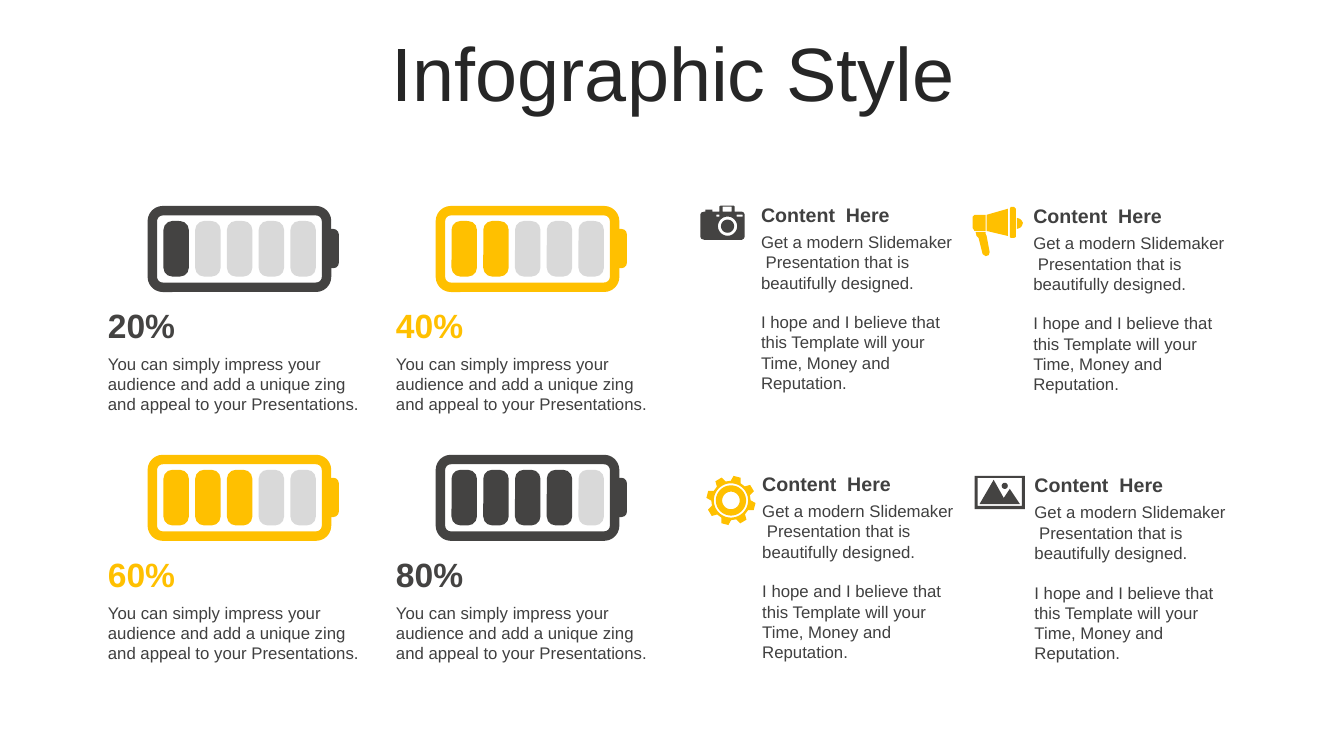
from math import cos, radians, sin

from pptx import Presentation
from pptx.dml.color import RGBColor
from pptx.enum.shapes import MSO_SHAPE
from pptx.enum.text import MSO_ANCHOR, MSO_AUTO_SIZE, PP_ALIGN
from pptx.util import Cm, Pt

ROUNDED = MSO_SHAPE.ROUNDED_RECTANGLE
TOP, MIDDLE = MSO_ANCHOR.TOP, MSO_ANCHOR.MIDDLE
CENTER = PP_ALIGN.CENTER
FIT_SHAPE, NO_FIT = MSO_AUTO_SIZE.SHAPE_TO_FIT_TEXT, MSO_AUTO_SIZE.NONE

CHARCOAL = RGBColor(0x44, 0x43, 0x42)
AMBER = RGBColor(0xFF, 0xC0, 0x00)
SILVER = RGBColor(0xD9, 0xD9, 0xD9)
BODY_GRAY = RGBColor(0x40, 0x40, 0x40)
TITLE_GRAY = RGBColor(0x26, 0x26, 0x26)
FONT = "Arial"
ICON_UNIT = 0.0254

TITLE = "Infographic Style"
BATTERIES = [("20%", 1, CHARCOAL), ("40%", 2, AMBER), ("60%", 3, AMBER), ("80%", 4, CHARCOAL)]
CELL_COUNT = 5
BATTERY_TEXT = "You can simply impress your audience and add a unique zing and appeal to your Presentations."
HEADING = "Content  Here"
CONTENT = [
    "Get a modern Slidemaker  Presentation that is beautifully designed.",
    "I hope and I believe that this Template will your Time, Money and Reputation.",
]


def circle(center_x, center_y, radius, steps=48):
    angles = [radians(360 * step / steps) for step in range(steps)]
    return [(center_x + radius * cos(a), center_y + radius * sin(a)) for a in angles]


def rectangle(left, top, right, bottom):
    return [(left, top), (right, top), (right, bottom), (left, bottom)]


def gear_teeth(center, base, tip, teeth=8, turn=14.5):
    corners = [(-15, base), (-8.5, tip), (8.5, tip), (15, base)]
    return [
        (center + radius * cos(radians(360 * tooth / teeth + turn + offset)),
         center + radius * sin(radians(360 * tooth / teeth + turn + offset)))
        for tooth in range(teeth) for offset, radius in corners
    ]


CAMERA = [
    [(20, 0), (33, 0), (34, 1), (34, 6), (41, 6), (43, 7), (44, 9), (44, 31), (43, 33), (41, 34),
     (4, 34), (1, 33), (0, 31), (0, 9), (1, 7), (4, 6), (5, 6), (5, 4), (12, 4), (12, 6),
     (19, 6), (19, 1)],
    circle(27, 20.5, 9.5), circle(27, 20.5, 6.5),
    rectangle(16, 9, 19, 11), rectangle(36, 9, 42, 11), rectangle(22, 1, 31, 6),
]
MEGAPHONE = [
    [(13, 25), (13, 27), (14, 29), (17, 45), (16, 48), (13, 49), (10, 47), (6, 31), (4, 29), (3, 25)],
    [(44, 11), (47, 12), (49, 14), (50, 16), (49, 19), (47, 21), (44, 22)],
    [(2, 8), (13, 8), (13, 24), (2, 24), (0, 21), (0, 10)],
    [(35, 2), (35, 29), (14, 24), (14, 8)],
    [(38, 0), (41, 0), (43, 2), (43, 30), (41, 31), (38, 31), (37, 30), (37, 2)],
]
GEAR = [gear_teeth(24.5, 19.5, 24.5), circle(24.5, 24.5, 17),
        circle(24.5, 24.5, 15), circle(24.5, 24.5, 8.7)]
LANDSCAPE = [
    rectangle(0, 0, 50, 33), rectangle(3, 2, 47, 30),
    [(19, 4), (29, 22), (35, 13), (45, 28), (5, 28)], circle(30, 10, 3),
]
ICONS = [
    (CAMERA, 17.65, 5.18, CHARCOAL),
    (MEGAPHONE, 24.51, 5.21, AMBER),
    (GEAR, 17.8, 11.99, AMBER),
    (LANDSCAPE, 24.56, 11.99, CHARCOAL),
]


def write(frame, paragraphs, size=12, color=BODY_GRAY, bold=False, align=None,
          anchor=TOP, gap=0, spacing=None, fit=FIT_SHAPE):
    frame.word_wrap = True
    frame.auto_size = fit
    frame.vertical_anchor = anchor
    for index, text in enumerate(paragraphs):
        para = frame.add_paragraph() if index else frame.paragraphs[0]
        para.alignment = align
        para.line_spacing = spacing
        para.space_before = Pt(gap if index else 0)
        span = para.add_run()
        span.text = text
        span.font.name = FONT
        span.font.size = Pt(size)
        span.font.bold = bold
        span.font.color.rgb = color


def add_text(page, left, top, width, height, paragraphs, **style):
    box = page.shapes.add_textbox(Cm(left), Cm(top), Cm(width), Cm(height))
    box.text_frame.margin_left = 0
    write(box.text_frame, paragraphs, **style)


def add_rounded(group, left, top, width, height, radius, fill=None, outline=None):
    shape = group.shapes.add_shape(ROUNDED, Cm(left), Cm(top), Cm(width), Cm(height))
    shape.shadow.inherit = False
    shape.adjustments[0] = radius
    if fill is None:
        shape.fill.background()
        shape.line.color.rgb = outline
        shape.line.width = Pt(6.75)
    else:
        shape.fill.solid()
        shape.fill.fore_color.rgb = fill
        shape.line.fill.background()


def add_battery(page, left, top, label, charged, color):
    group = page.shapes.add_group_shape()
    add_rounded(group, left + 1.12, top, 4.39, 1.93, 0.136, outline=color)
    add_rounded(group, left + 5.44, top + 0.46, 0.38, 0.99, 0.356, fill=color)
    for cell in range(CELL_COUNT):
        add_rounded(group, left + 1.4 + 0.8 * cell, top + 0.26, 0.64, 1.4, 0.348,
                    fill=color if cell < charged else SILVER)
    add_text(page, left, top + 2.24, 6.96, 1.27, [label], size=24, color=color,
             bold=True, anchor=MIDDLE)
    add_text(page, left, top + 3.48, 6.96, 1.8, [BATTERY_TEXT])


def add_icon(page, contours, left, top, color):
    placed = [[(Cm(left + x * ICON_UNIT), Cm(top + y * ICON_UNIT)) for x, y in contour]
              for contour in contours]
    builder = page.shapes.build_freeform(*placed[0][0])
    for index, contour in enumerate(placed):
        if index:
            builder.move_to(*contour[0])
        builder.add_line_segments(contour[1:], close=True)
    icon = builder.convert_to_shape()
    icon.shadow.inherit = False
    icon.fill.solid()
    icon.fill.fore_color.rgb = color
    icon.line.fill.background()


def main():
    deck = Presentation()
    deck.slide_width, deck.slide_height = Cm(33.87), Cm(19.05)
    page = deck.slides.add_slide(deck.slide_layouts[5])

    title = page.shapes.title
    title.left, title.top, title.width, title.height = Cm(0.89), Cm(0.94), Cm(32.16), Cm(2)
    write(title.text_frame, [TITLE], size=54, color=TITLE_GRAY, align=CENTER,
          anchor=MIDDLE, spacing=0.9, fit=NO_FIT)

    for index, battery in enumerate(BATTERIES):
        row, column = divmod(index, 2)
        add_battery(page, 2.72 + 7.26 * column, 5.31 + 6.27 * row, *battery)

    for index, icon in enumerate(ICONS):
        row, column = divmod(index, 2)
        left = 19.18 + 6.86 * column + 0.03 * row
        top = 4.98 + 6.78 * row + 0.03 * column
        add_text(page, left, top, 5.13, 0.86, [HEADING], size=14, bold=True, anchor=MIDDLE)
        add_text(page, left, top + 0.74, 5.13, 4.37, CONTENT, gap=14)
        add_icon(page, *icon)

    deck.save("out.pptx")


if __name__ == "__main__":
    main()
